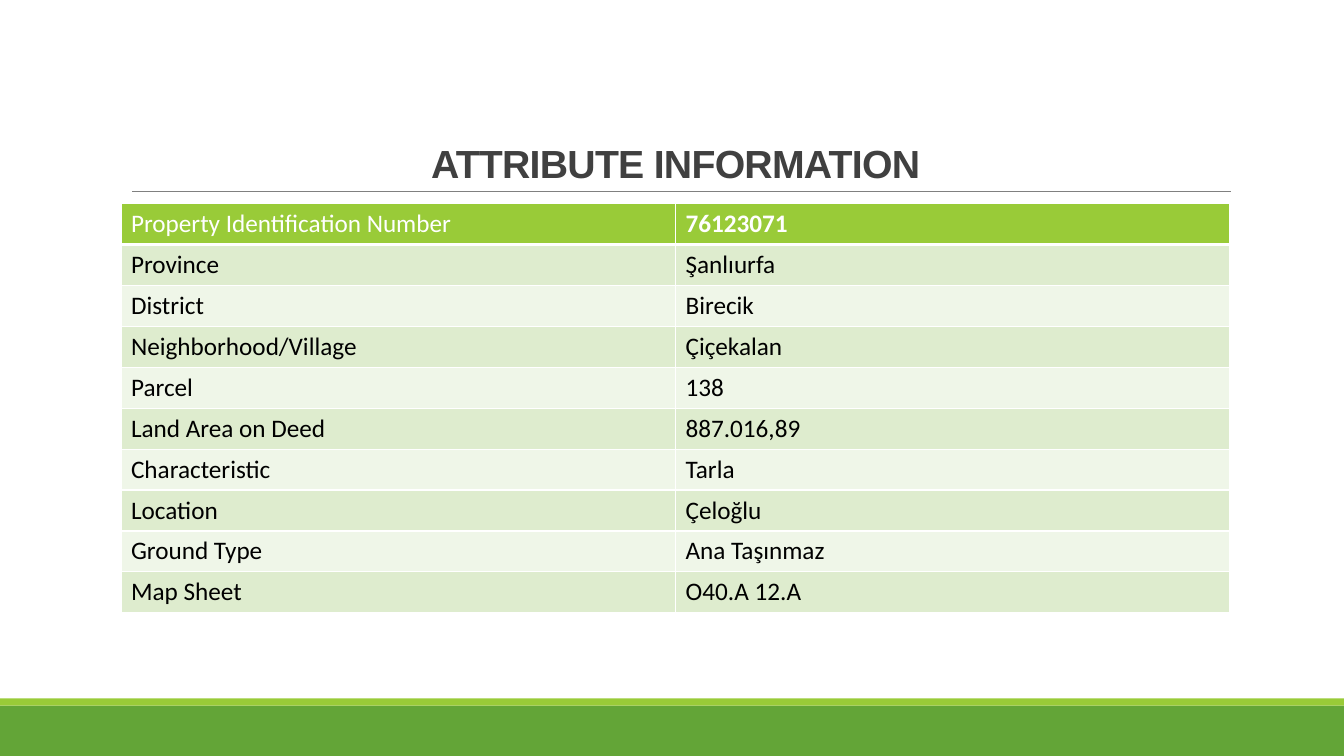
from dataclasses import dataclass

from lxml.etree import SubElement
from pptx import Presentation
from pptx.dml.color import RGBColor
from pptx.enum.shapes import MSO_CONNECTOR, MSO_SHAPE
from pptx.enum.text import MSO_ANCHOR, MSO_AUTO_SIZE, PP_ALIGN
from pptx.oxml.ns import qn
from pptx.slide import Slide
from pptx.table import _Cell
from pptx.text.text import _Paragraph, _Run
from pptx.util import Inches, Pt

WHITE = "FFFFFF"
LIME = "99CB38"
GREEN = "63A537"
BAND_FILLS = ("EFF6E8", "DEECCE")
SLIDE_WIDTH = 13.33
TABLE_LEFT, TABLE_TOP, COLUMN_WIDTH, ROW_HEIGHT = 1.2, 2.02, 5.5, 0.406


@dataclass(frozen=True)
class Attribute:
    label: str
    value: str


@dataclass(frozen=True)
class FooterBar:
    top: float
    height: float
    fill: str


ATTRIBUTES = (
    Attribute("Property Identification Number", "76123071"),
    Attribute("Province", "Şanlıurfa"),
    Attribute("District", "Birecik"),
    Attribute("Neighborhood/Village", "Çiçekalan"),
    Attribute("Parcel", "138"),
    Attribute("Land Area on Deed", "887.016,89"),
    Attribute("Characteristic", "Tarla"),
    Attribute("Location", "Çeloğlu"),
    Attribute("Ground Type", "Ana Taşınmaz"),
    Attribute("Map Sheet", "O40.A 12.A"),
)
FOOTER_BARS = (FooterBar(7, 0.5, GREEN), FooterBar(6.93, 0.07, LIME))


def color(hex_value: str) -> RGBColor:
    return RGBColor.from_string(hex_value)


def add_run(paragraph: _Paragraph, text: str, font: str, size: float, fill: str, bold: bool) -> _Run:
    run = paragraph.add_run()
    run.text = text
    run.font.name = font
    run.font.size = Pt(size)
    run.font.bold = bold
    run.font.color.rgb = color(fill)
    return run


def draw_footer_bar(slide: Slide, bar: FooterBar) -> None:
    band = slide.shapes.add_shape(
        MSO_SHAPE.RECTANGLE, 0, Inches(bar.top), Inches(SLIDE_WIDTH), Inches(bar.height)
    )
    band.shadow.inherit = False
    band.fill.solid()
    band.fill.fore_color.rgb = color(bar.fill)
    band.line.fill.background()


def draw_title_rule(slide: Slide) -> None:
    rule = slide.shapes.add_connector(
        MSO_CONNECTOR.STRAIGHT, Inches(1.31), Inches(1.9), Inches(12.21), Inches(1.9)
    )
    rule.line.color.rgb = color("808080")
    rule.line.width = Pt(0.5)
    SubElement(rule._element.spPr, qn("a:effectLst"))


def draw_title(slide: Slide) -> None:
    title = slide.shapes.title
    title.left, title.top = Inches(TABLE_LEFT), Inches(0.31)
    title.width, title.height = Inches(2 * COLUMN_WIDTH), Inches(1.59)
    frame = title.text_frame
    frame.auto_size = MSO_AUTO_SIZE.NONE
    frame.word_wrap = True
    frame.vertical_anchor = MSO_ANCHOR.BOTTOM
    heading = frame.paragraphs[0]
    heading.alignment = PP_ALIGN.CENTER
    heading.line_spacing = 0.85
    run = add_run(heading, "ATTRIBUTE INFORMATION", "Arial", 28, "404040", True)
    run.font._element.set("spc", "-50")


def set_borders(cell: _Cell, row: int) -> None:
    widths = {"L": 1, "R": 1, "T": 3 if row == 1 else 1, "B": 3 if row == 0 else 1}
    properties = cell._tc.get_or_add_tcPr()
    for side, width in widths.items():
        border = SubElement(properties, qn(f"a:ln{side}"), w=str(Pt(width)))
        border_fill = SubElement(border, qn("a:solidFill"))
        SubElement(border_fill, qn("a:srgbClr"), val=WHITE)


def draw_attributes(slide: Slide) -> None:
    table = slide.shapes.add_table(
        len(ATTRIBUTES), 2, Inches(TABLE_LEFT), Inches(TABLE_TOP),
        Inches(2 * COLUMN_WIDTH), Inches(len(ATTRIBUTES) * ROW_HEIGHT),
    ).table
    for column in table.columns:
        column.width = Inches(COLUMN_WIDTH)
    for row, attribute in enumerate(ATTRIBUTES):
        table.rows[row].height = Inches(ROW_HEIGHT)
        is_header = row == 0
        for column, text in enumerate((attribute.label, attribute.value)):
            cell = table.cell(row, column)
            set_borders(cell, row)
            cell.fill.solid()
            cell.fill.fore_color.rgb = color(LIME if is_header else BAND_FILLS[row % 2])
            add_run(
                cell.text_frame.paragraphs[0], text, "Calibri", 18,
                WHITE if is_header else "000000", is_header and column == 1,
            )


def main() -> None:
    presentation = Presentation()
    presentation.slide_width = Inches(SLIDE_WIDTH)
    presentation.slide_height = Inches(7.5)
    slide = presentation.slides.add_slide(presentation.slide_layouts[5])
    slide.background.fill.solid()
    slide.background.fill.fore_color.rgb = color(WHITE)
    for bar in FOOTER_BARS:
        draw_footer_bar(slide, bar)
    draw_title_rule(slide)
    draw_title(slide)
    draw_attributes(slide)
    presentation.save("out.pptx")


if __name__ == "__main__":
    main()
